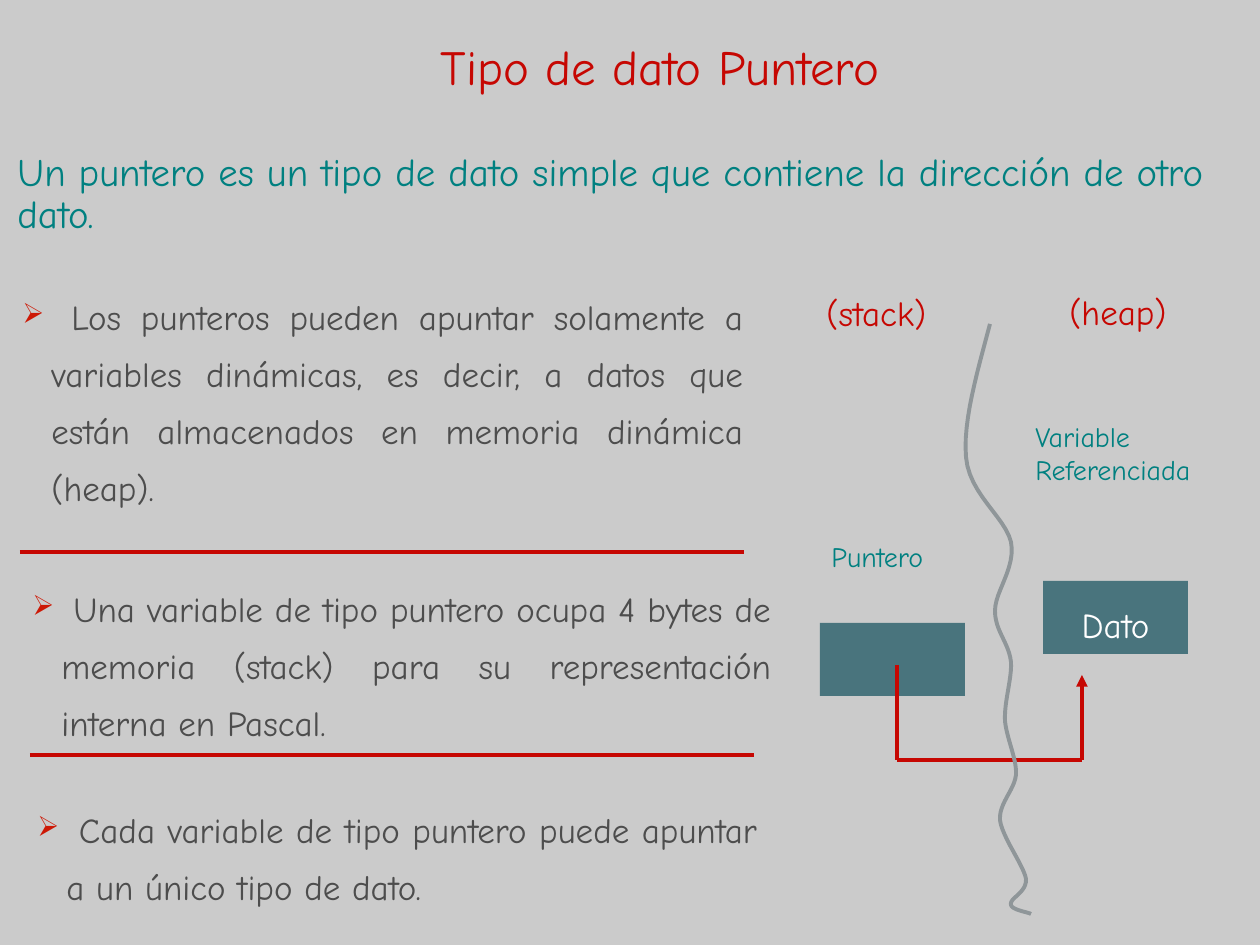
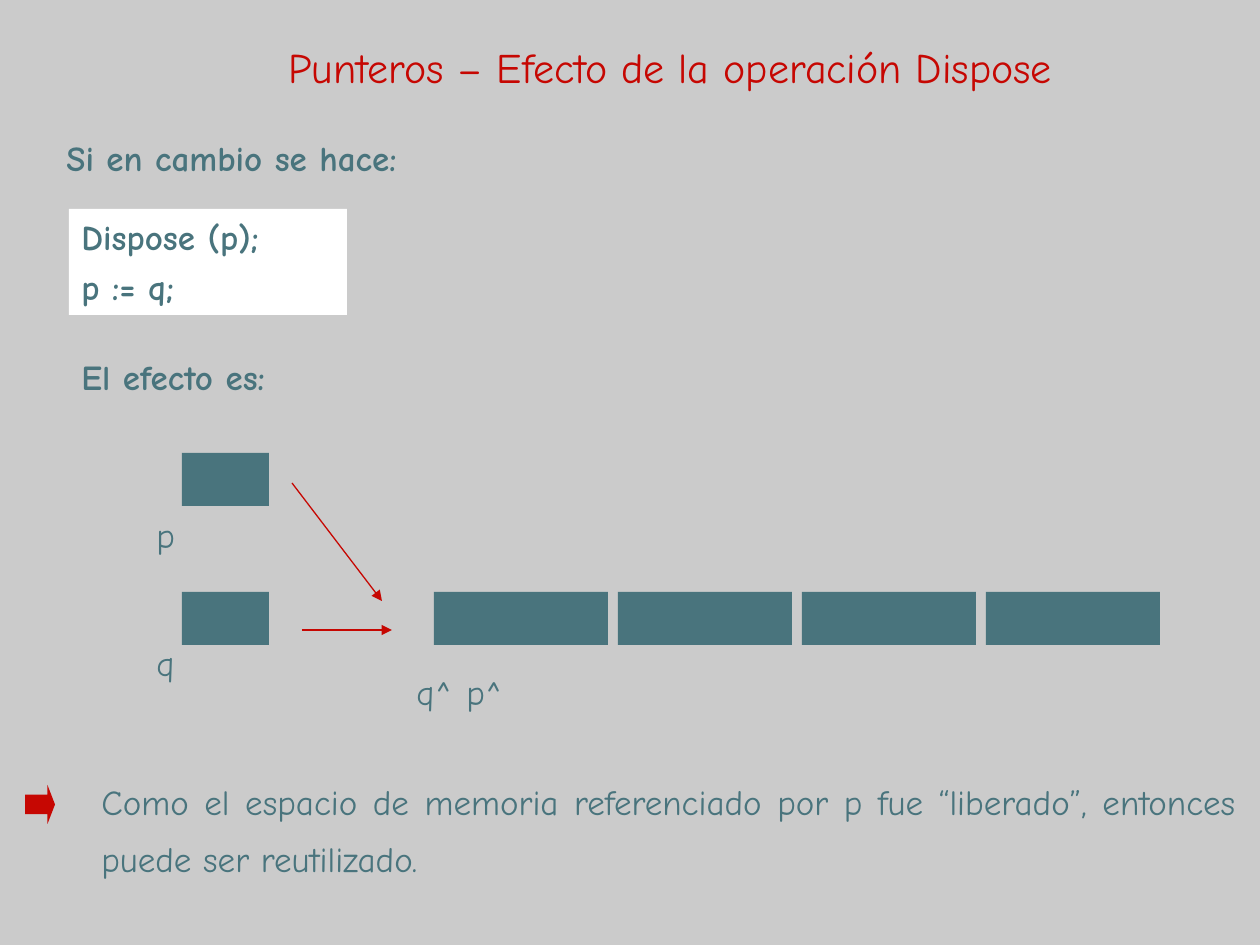
import pptx
import pptx.util
import pptx.dml.color
import pptx.enum.shapes
import pptx.enum.text
import pptx.oxml
import pptx.oxml.ns
import lxml.etree

FONT = "Comic Neue"
GREY, RED, TEAL, SLATE = "CBCBCB", "C60702", "008080", "49747D"
BODY, BULLET, WAVE, WHITE = "4D4D4D", "CD1805", "8F9699", "FFFFFF"
SCALE = 914400 / 126
HANG = 29
LOOSE = 1.35
CENTER = pptx.enum.text.PP_ALIGN.CENTER
JUSTIFY = pptx.enum.text.PP_ALIGN.JUSTIFY
LEFT = pptx.enum.text.PP_ALIGN.LEFT
TOP = pptx.enum.text.MSO_ANCHOR.TOP
MIDDLE = pptx.enum.text.MSO_ANCHOR.MIDDLE
RECTANGLE = pptx.enum.shapes.MSO_SHAPE.RECTANGLE
ARROW = pptx.enum.shapes.MSO_SHAPE.RIGHT_ARROW
STRAIGHT = pptx.enum.shapes.MSO_CONNECTOR.STRAIGHT
color = pptx.dml.color.RGBColor.from_string


def px(*lengths):
    return [pptx.util.Emu(round(length * SCALE)) for length in lengths]


def write(box, text, size, ink, align=JUSTIFY, spacing=1.0, anchor=TOP,
          bold=False, bullet=False, wrap=True):
    frame = box.text_frame
    frame.text = text
    frame.word_wrap = wrap
    frame.vertical_anchor = anchor
    for index, para in enumerate(frame.paragraphs):
        para.alignment = align
        para.line_spacing = spacing
        if index:
            para.space_before = pptx.util.Pt(5)
        if bullet:
            settings = para._p.get_or_add_pPr()
            settings.set("marL", str(px(HANG)[0]))
            settings.set("indent", str(px(-HANG)[0]))
            namespace = pptx.oxml.ns.nsdecls("a")
            for mark in (
                f'<a:buClr {namespace}><a:srgbClr val="{BULLET}"/></a:buClr>',
                f'<a:buSzPct {namespace} val="80000"/>',
                f'<a:buChar {namespace} char="➢"/>',
            ):
                settings.append(pptx.oxml.parse_xml(mark))
        for span in para.runs:
            span.font.name = FONT
            span.font.size = pptx.util.Pt(size)
            span.font.bold = bold
            span.font.color.rgb = color(ink)


deck = pptx.Presentation()
deck.slide_width, deck.slide_height = px(1260, 945)

pages = []
for title, size, place in (
    ("Tipo de dato Puntero", 28, (149, 21, 1022, 89)),
    ("Punteros – Efecto de la operación Dispose", 24, (149, 16, 1042, 101)),
):
    page = deck.slides.add_slide(deck.slide_layouts[6])
    page.background.fill.solid()
    page.background.fill.fore_color.rgb = color(GREY)
    box = page.shapes.add_textbox(*px(*place))
    write(box, title, size, RED, align=CENTER, anchor=MIDDLE)
    pages.append(page)
pointer_page, dispose_page = pages

blocks = [
    (pointer_page, RECTANGLE, (820, 623, 145, 73), SLATE),
    (pointer_page, RECTANGLE, (1043, 581, 145, 73), SLATE),
    (dispose_page, RECTANGLE, (69, 209, 278, 106), WHITE),
    (dispose_page, ARROW, (25, 785, 30, 39), RED),
]
for top in (453, 592):
    blocks.append((dispose_page, RECTANGLE, (182, top, 87, 53), SLATE))
for cell in range(4):
    blocks.append((dispose_page, RECTANGLE, (434 + 184 * cell, 592, 174, 53), SLATE))

shapes = []
for page, kind, place, fill in blocks:
    shape = page.shapes.add_shape(kind, *px(*place))
    shape.shadow.inherit = False
    shape.fill.solid()
    shape.fill.fore_color.rgb = color(fill)
    shape.line.fill.background()
    shapes.append(shape)
data_block, code_block, marker = shapes[1:4]
marker.adjustments[0] = 0.5
marker.adjustments[1] = 0.25
write(data_block, "Dato", 20, WHITE, align=CENTER, spacing=LOOSE, anchor=MIDDLE, wrap=False)
write(code_block, "Dispose (p);\np := q;", 20, SLATE, bold=True)

for page, ends, width, arrow in (
    (pointer_page, (20, 552, 744, 552), 2.25, False),
    (pointer_page, (30, 755, 754, 755), 2.25, False),
    (pointer_page, (897, 665, 897, 760), 2.25, False),
    (pointer_page, (897, 760, 1082, 760), 2.25, False),
    (pointer_page, (1082, 760, 1082, 675), 2.25, True),
    (dispose_page, (302, 630, 392, 630), 0.75, True),
    (dispose_page, (292, 483, 382, 601), 0.75, True),
):
    line = page.shapes.add_connector(STRAIGHT, *px(*ends))
    line.line.width = pptx.util.Pt(width)
    line.line.color.rgb = color(RED)
    if arrow:
        head = lxml.etree.SubElement(line.line._get_or_add_ln(), pptx.oxml.ns.qn("a:tailEnd"))
        head.set("type", "triangle")
    lxml.etree.SubElement(line._element.spPr, pptx.oxml.ns.qn("a:effectLst"))

start = (990, 324)
curves = (
    ((977, 373), (963, 421), (966, 457)),
    ((969, 494), (1005, 517), (1011, 542)),
    ((1016, 568), (995, 591), (995, 611)),
    ((995, 631), (1009, 643), (1011, 662)),
    ((1012, 679), (1004, 702), (1005, 721)),
    ((1007, 740), (1017, 759), (1016, 775)),
    ((1014, 791), (999, 803), (1000, 820)),
    ((1002, 837), (1024, 866), (1026, 879)),
    ((1027, 893), (1009, 898), (1011, 905)),
    ((1012, 910), (1027, 912), (1031, 914)),
)
STEPS = 12
builder = pointer_page.shapes.build_freeform(*px(*start), scale=1.0)
points = []
for first, second, end in curves:
    for step in range(1, STEPS + 1):
        t = step / STEPS
        weights = ((1 - t) ** 3, 3 * t * (1 - t) ** 2, 3 * t ** 2 * (1 - t), t ** 3)
        corners = (start, first, second, end)
        points.append(px(*(sum(w * c[axis] for w, c in zip(weights, corners)) for axis in (0, 1))))
    start = end
builder.add_line_segments(points, close=False)
divider = builder.convert_to_shape()
divider.shadow.inherit = False
divider.fill.background()
divider.line.color.rgb = color(WAVE)
divider.line.width = pptx.util.Pt(2.25)

box = pointer_page.shapes.add_textbox(*px(5, 140, 1255, 110))
write(box, "Un puntero es un tipo de dato simple que contiene la dirección de otro dato.",
      22.2, TEAL, align=LEFT, spacing=0.9, anchor=MIDDLE)

for text, place in (
    (" Los punteros pueden apuntar solamente a variables dinámicas, es decir, a datos "
     "que están almacenados en memoria dinámica (heap).", (10, 275, 746, 183)),
    (" Una variable de tipo puntero ocupa 4 bytes de memoria (stack) para su "
     "representación interna en Pascal.", (20, 567, 764, 183)),
    (" Cada variable de tipo puntero puede apuntar a un único tipo de dato.",
     (25, 788, 745, 126)),
):
    box = pointer_page.shapes.add_textbox(*px(*place))
    write(box, text, 20, BODY, spacing=LOOSE, bullet=True)

for page, text, place, size, ink, spacing, bold in (
    (pointer_page, "Puntero", (819, 522, 155, 58), 16, TEAL, LOOSE, False),
    (pointer_page, "Variable Referenciada", (1023, 413, 213, 81), 16, TEAL, 1.0, False),
    (pointer_page, "(stack)", (814, 271, 193, 69), 20, RED, LOOSE, False),
    (pointer_page, "(heap)", (1057, 284, 164, 55), 20, RED, 1.0, False),
    (dispose_page, "Si en cambio se hace:", (54, 130, 412, 69), 20, SLATE, 1.0, True),
    (dispose_page, "El efecto es:", (69, 349, 382, 55), 20, SLATE, 1.0, True),
    (dispose_page, "p", (144, 493, 68, 69), 20, SLATE, LOOSE, False),
    (dispose_page, "q", (144, 621, 68, 69), 20, SLATE, LOOSE, False),
    (dispose_page, "q^", (404, 650, 97, 69), 20, SLATE, LOOSE, False),
    (dispose_page, "p^", (454, 650, 97, 69), 20, SLATE, LOOSE, False),
    (dispose_page, "Como el espacio de memoria referenciado por p fue “liberado”, "
     "entonces puede ser reutilizado.", (89, 760, 1160, 126), 20, SLATE, LOOSE, False),
):
    box = page.shapes.add_textbox(*px(*place))
    write(box, text, size, ink, spacing=spacing, bold=bold)

deck.save("out.pptx")
